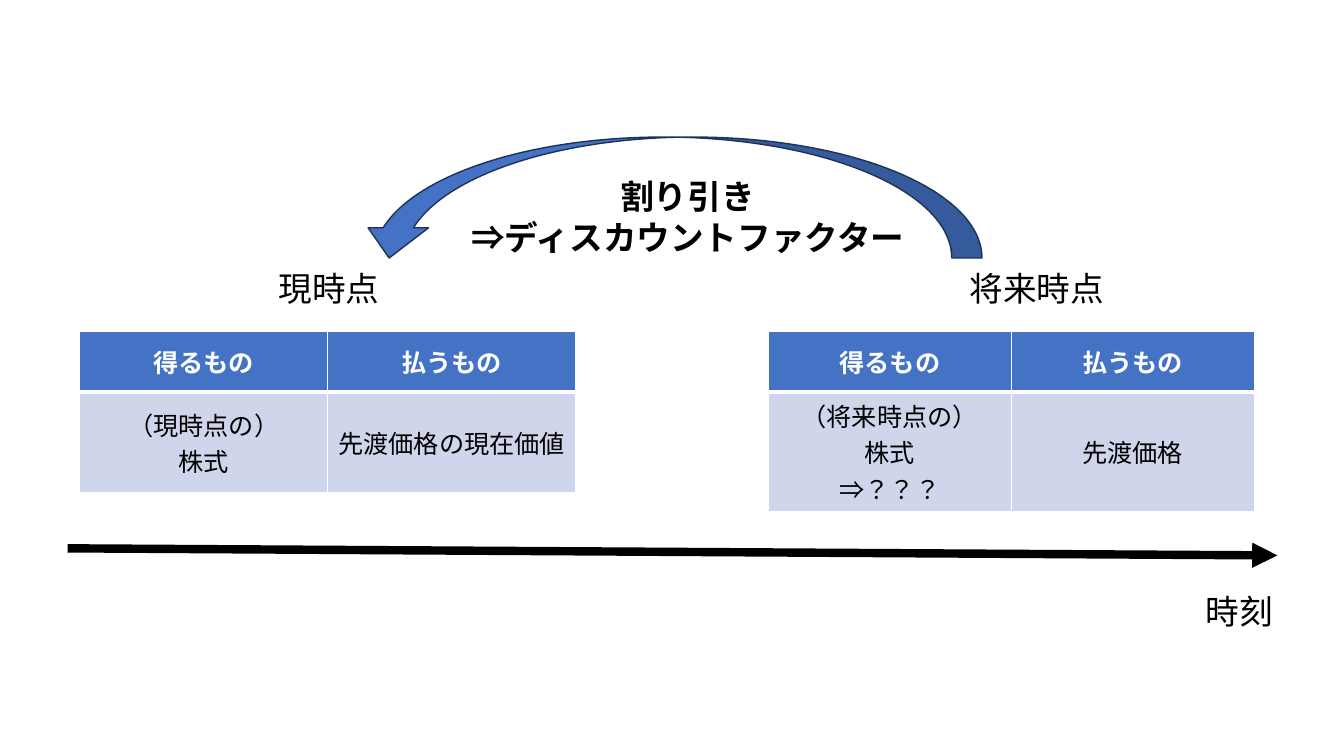
import dataclasses

import lxml.etree
import pptx
import pptx.dml.color
import pptx.enum.shapes
import pptx.enum.text
import pptx.oxml.ns
import pptx.util

PX = 9144  # EMU per px, 100 px to the inch
qn = pptx.oxml.ns.qn


@dataclasses.dataclass
class Theme:
    font: str = "Noto Sans CJK JP"
    blue: str = "4472C4"
    edge: str = "1E3256"
    pale: str = "CFD5EA"
    ink: str = "000000"
    white: str = "FFFFFF"
    label: int = 24
    cell: int = 18


def rgb(code):
    return pptx.dml.color.RGBColor.from_string(code)


def apply(item, form):
    for name, value in form.items():
        setattr(item, name, value)


class Deck:
    def __init__(self, theme):
        self.theme = theme
        self.file = pptx.Presentation()
        apply(self.file, {"slide_width": 1333 * PX, "slide_height": 750 * PX})
        self.slide = self.file.slides.add_slide(self.file.slide_layouts[6])

    def letter(self, frame, lines, size, color, bold=False):
        """Fill a text frame with one centred paragraph per line."""
        form = {"name": self.theme.font, "size": pptx.util.Pt(size), "bold": bold}
        for i, line in enumerate(lines):
            para = frame.paragraphs[0] if i == 0 else frame.add_paragraph()
            para.alignment = pptx.enum.text.PP_ALIGN.CENTER
            run = para.add_run()
            run.text = line
            apply(run.font, form)
            run.font.color.rgb = rgb(color)
            asian = lxml.etree.SubElement(run.font._element, qn("a:ea"))
            asian.set("typeface", self.theme.font)

    def label(self, box, lines, bold=False):
        text = self.slide.shapes.add_textbox(*(n * PX for n in box))
        apply(text.text_frame, {
            "word_wrap": True,
            "auto_size": pptx.enum.text.MSO_AUTO_SIZE.SHAPE_TO_FIT_TEXT,
        })
        self.letter(text.text_frame, lines, self.theme.label, self.theme.ink, bold)

    def border(self, cell, base):
        """Draw white cell edges; base is the bottom width in points."""
        props = cell._tc.get_or_add_tcPr()
        for i, (side, width) in enumerate(zip("LRTB", (1, 1, 1, base))):
            line = lxml.etree.Element(qn("a:ln" + side), w=str(pptx.util.Pt(width)))
            fill = lxml.etree.SubElement(line, qn("a:solidFill"))
            lxml.etree.SubElement(fill, qn("a:srgbClr"), val=self.theme.white)
            props.insert(i, line)

    def table(self, left, top, width, heights, rows):
        look = self.theme
        box = (left, top, width, sum(heights))
        grid = self.slide.shapes.add_table(
            len(rows), len(rows[0]), *(n * PX for n in box)).table
        for r, row in enumerate(rows):
            grid.rows[r].height = heights[r] * PX
            head = r == 0
            for c, lines in enumerate(row):
                cell = grid.cell(r, c)
                cell.vertical_anchor = pptx.enum.text.MSO_ANCHOR.MIDDLE
                cell.fill.solid()
                cell.fill.fore_color.rgb = rgb(look.blue if head else look.pale)
                self.border(cell, 3 if head else 1)
                self.letter(cell.text_frame, lines, look.cell,
                            look.white if head else look.ink, head)

    def arrow(self, ends, width):
        kind = pptx.enum.shapes.MSO_CONNECTOR.STRAIGHT
        axis = self.slide.shapes.add_connector(kind, *(n * PX for n in ends))
        axis.line.width = pptx.util.Pt(width)
        axis.line.color.rgb = rgb(self.theme.ink)
        lxml.etree.SubElement(axis.line._get_or_add_ln(), qn("a:tailEnd"),
                              type="triangle")
        lxml.etree.SubElement(axis._element.spPr, qn("a:effectLst"))

    def curve(self, box):
        """Draw a curved arrow that points back to the left."""
        kind = pptx.enum.shapes.MSO_SHAPE.CURVED_DOWN_ARROW
        bend = self.slide.shapes.add_shape(kind, *(n * PX for n in box))
        bend.shadow.inherit = False
        bend.fill.solid()
        bend.fill.fore_color.rgb = rgb(self.theme.blue)
        bend.line.color.rgb = rgb(self.theme.edge)
        bend.line.width = pptx.util.Pt(1)
        bend._element.spPr.xfrm.set("flipH", "1")


def main():
    deck = Deck(Theme())
    head = [["得るもの"], ["払うもの"]]
    top, heights = 329, (60, 100)
    deck.table(762, top, 482, heights, [
        head, [["（将来時点の）", "株式", "⇒？？？"], ["先渡価格"]]])
    deck.arrow((67, 544, 1267, 551), 6)
    deck.label((923, 261, 211, 50), ["将来時点"])
    deck.table(79, top, 492, heights, [
        head, [["（現時点の）", "株式"], ["先渡価格の現在価値"]]])
    deck.label((221, 261, 211, 50), ["現時点"])
    deck.curve((356, 136, 618, 120))
    deck.label((441, 170, 482, 91),
               ["割り引き", "⇒ディスカウントファクター"], bold=True)
    deck.label((1162, 581, 134, 50), ["時刻"])
    deck.file.save("out.pptx")


if __name__ == "__main__":
    main()
